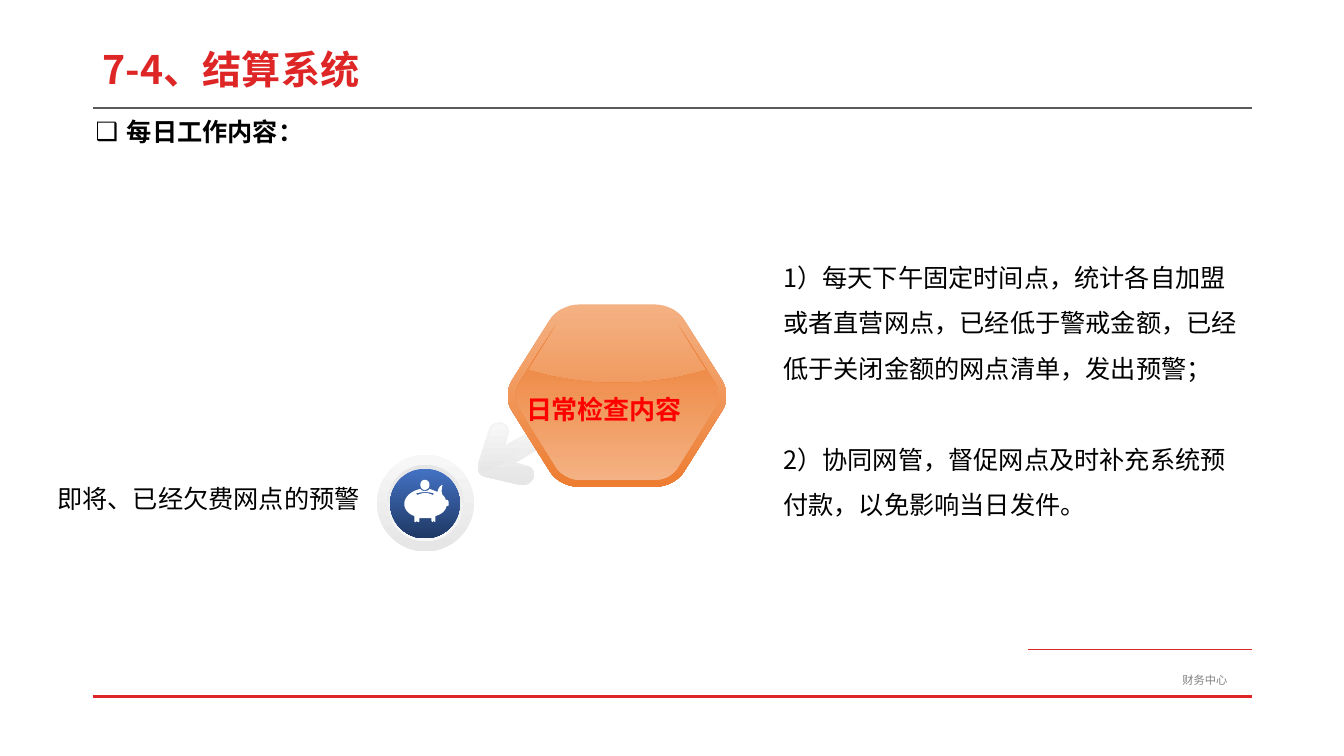
import pptx
import pptx.util
import pptx.dml.color
import pptx.enum.shapes
import pptx.enum.text
from lxml import etree
from pptx.oxml.ns import qn

PX = 9144  # 100 px to the inch
CJK = "Noto Sans CJK SC"
COLORS = {
    "red": "DD2625", "rule": "595959", "footer": "808080", "black": "000000",
    "alert": "FF0000", "white": "FFFFFF", "mist": "F4F4F4", "pale": "F8F7F7",
    "silver": "E7E6E6", "peach": "F4B183", "orange": "ED7D31",
    "blue": "4472C4", "navy": "1F3864",
}

# Outlines: a pair is a corner, six numbers are a Bezier curve
ARROW = [[(474, 461), (473, 467, 476, 472, 481, 473), (516, 481),
          (522, 482, 527, 479, 529, 474), (531, 468, 528, 463, 522, 462),
          (511, 459), (545, 439), (550, 437, 552, 430, 549, 426),
          (547, 421, 540, 420, 536, 422), (501, 442), (504, 431),
          (506, 425, 503, 420, 497, 419), (492, 418, 486, 421, 485, 426)]]
ARROW_GLOSS = [[(534, 434), (530, 427), (497, 446), (499, 442), (502, 430),
                (503, 426, 501, 422, 497, 421), (492, 420, 488, 423, 487, 427),
                (476, 461), (475, 465, 477, 468, 479, 469),
                (486, 466, 494, 462, 501, 458), (513, 451, 525, 443, 534, 434)]]
HEXAGON = [[(575, 483), (563, 483, 551, 477, 545, 467), (508, 408),
            (502, 399, 502, 387, 508, 377), (545, 318),
            (551, 308, 563, 302, 575, 302), (649, 302),
            (661, 302, 673, 308, 679, 318), (716, 377),
            (722, 387, 722, 399, 716, 408), (679, 467),
            (673, 477, 661, 483, 649, 483)]]
HEXAGON_GLOSS = [[(672, 321), (701, 367), (675, 375, 645, 380, 612, 380),
                  (580, 380, 549, 375, 523, 367), (552, 321), (515, 380),
                  (510, 388, 510, 397, 515, 405), (552, 464),
                  (557, 471, 566, 476, 575, 476), (649, 476),
                  (659, 476, 668, 471, 672, 464), (709, 405),
                  (714, 397, 714, 388, 709, 380)]]
BADGE_GLINT = [[(410, 541), (410, 540, 410, 539, 409, 539),
                (404, 537, 399, 534, 395, 531), (387, 524, 382, 514, 381, 503),
                (380, 492, 383, 482, 390, 473), (397, 465, 407, 459, 419, 459),
                (420, 458, 421, 457, 421, 456), (421, 455, 420, 454, 418, 454),
                (406, 455, 395, 461, 387, 470), (379, 480, 375, 492, 376, 504),
                (377, 516, 383, 527, 392, 535), (397, 538, 402, 541, 407, 543),
                (408, 543, 410, 542, 410, 541)]]
PIGGY_BANK = [
    # coin
    [(426, 481), (426, 478, 424, 476, 421, 476), (419, 476, 417, 478, 417, 481),
     (417, 484, 419, 486, 421, 486), (424, 486, 426, 484, 426, 481)],
    # body
    [(401, 500), (401, 505, 405, 510, 411, 512), (411, 516),
     (411, 517, 411, 518, 412, 518), (413, 518, 413, 517, 413, 517),
     (414, 517, 414, 518, 415, 518), (416, 518, 416, 517, 416, 516), (416, 514),
     (418, 514, 420, 514, 422, 514), (424, 514, 426, 514, 428, 514), (428, 516),
     (428, 517, 428, 517, 429, 518), (429, 518, 430, 517, 430, 517),
     (431, 517, 431, 518, 431, 518), (432, 518, 432, 517, 432, 516), (432, 512),
     (438, 510, 442, 507, 443, 502), (444, 502), (444, 502, 445, 502, 445, 501),
     (445, 498), (445, 497, 444, 496, 444, 496), (442, 496),
     (442, 494, 440, 492, 439, 491), (437, 488, 439, 481, 439, 481),
     (439, 481, 435, 482, 434, 488), (431, 487, 429, 486, 426, 485),
     (425, 487, 423, 487, 421, 487), (420, 487, 418, 487, 417, 485),
     (408, 487, 401, 493, 401, 500)],
    # slot
    [(414, 489), (416, 489, 419, 488, 422, 488), (424, 488, 427, 489, 430, 489),
     (430, 490), (430, 490, 430, 491, 429, 491), (427, 490, 424, 489, 422, 489),
     (419, 489, 417, 490, 414, 491), (413, 490), (413, 490, 413, 489, 414, 489)],
]


def flatten(outline, steps=8):
    """Turn corners and curves into a list of EMU points."""
    points = []
    for part in outline:
        if len(part) == 2:
            points.append(part)
            continue
        x0, y0 = points[-1]
        x1, y1, x2, y2, x3, y3 = part
        for step in range(1, steps + 1):
            t = step / steps
            a, b, c, d = (1 - t) ** 3, 3 * t * (1 - t) ** 2, 3 * t * t * (1 - t), t ** 3
            points.append((a * x0 + b * x1 + c * x2 + d * x3,
                           a * y0 + b * y1 + c * y2 + d * y3))
    return [(x * PX, y * PX) for x, y in points]


class SlideBuilder:
    def __init__(self, slide):
        self.slide = slide
        self.shapes = slide.shapes

    def color(self, name):
        return pptx.dml.color.RGBColor.from_string(COLORS[name])

    def place(self, shape, box):
        shape.left, shape.top, shape.width, shape.height = (v * PX for v in box)

    def rule(self, left, right, y, color, width):
        line = self.shapes.add_connector(pptx.enum.shapes.MSO_CONNECTOR.STRAIGHT,
                                         left * PX, y * PX, right * PX, y * PX)
        line.line.color.rgb = self.color(color)
        line.line.width = pptx.util.Pt(width)
        etree.SubElement(line._element.spPr, qn("a:effectLst"))

    def paint(self, shape, colors):
        """One colour fills plainly, two run from top to bottom."""
        if len(colors) == 1:
            shape.fill.solid()
            shape.fill.fore_color.rgb = self.color(colors[0])
        else:
            shape.fill.gradient()
            shape.fill.gradient_angle = 270
            for stop, name in zip(shape.fill.gradient_stops, colors):
                stop.color.rgb = self.color(name)
        shape.line.fill.background()
        shape.shadow.inherit = False

    def outline(self, contours, *colors):
        first, *others = [flatten(contour) for contour in contours]
        builder = self.shapes.build_freeform(*first[0])
        builder.add_line_segments(first[1:], close=True)
        for points in others:
            builder.move_to(*points[0])
            builder.add_line_segments(points[1:], close=True)
        self.paint(builder.convert_to_shape(), colors)

    def disc(self, left, top, size, *colors):
        disc = self.shapes.add_shape(pptx.enum.shapes.MSO_SHAPE.OVAL,
                                     *(v * PX for v in (left, top, size, size)))
        self.paint(disc, colors)

    def style(self, paragraph, size, color, bold=False, font=CJK, spacing=None):
        paragraph.alignment = pptx.enum.text.PP_ALIGN.LEFT
        paragraph.line_spacing = spacing
        paragraph.font.size = pptx.util.Pt(size)
        paragraph.font.bold = bold
        paragraph.font.name = font
        paragraph.font.color.rgb = self.color(color)
        defaults = paragraph._p.pPr.find(qn("a:defRPr"))
        etree.SubElement(defaults, qn("a:ea"), typeface=CJK)
        return defaults

    def title(self, text, box):
        title = self.shapes.title
        self.place(title, box)
        title.text_frame.text = text
        title.text_frame.vertical_anchor = pptx.enum.text.MSO_ANCHOR.MIDDLE
        self.style(title.text_frame.paragraphs[0], 28, "red", bold=True, spacing=0.9)

    def text(self, texts, box, size, color, gap=0, bullet=None, baseline=None, **style):
        frame = self.shapes.add_textbox(*(v * PX for v in box)).text_frame
        frame.word_wrap = True
        for index, text in enumerate(texts):
            paragraph = frame.paragraphs[0] if index == 0 else frame.add_paragraph()
            paragraph.text = text
            if index:
                paragraph.space_before = pptx.util.Pt(gap)
            if bullet:
                props = paragraph._p.get_or_add_pPr()
                props.set("marL", str(31 * PX))
                props.set("indent", str(-31 * PX))
                etree.SubElement(props, qn("a:buFont"), typeface="Arial")
                etree.SubElement(props, qn("a:buChar"), char=bullet)
            defaults = self.style(paragraph, size, color, **style)
            if baseline:
                defaults.set("baseline", str(baseline * 1000))


def main():
    deck = pptx.Presentation()
    deck.slide_width, deck.slide_height = 1333 * PX, 750 * PX
    page = SlideBuilder(deck.slides.add_slide(deck.slide_layouts[5]))

    # Frame lines and footer
    page.rule(92, 1242, 107, "rule", 1)
    page.rule(1020, 1242, 644, "red", 0.5)
    page.rule(92, 1242, 691, "red", 1.5)
    page.text(["财务中心"], (1163, 663, 114, 24), 8, "footer")

    # Heading
    page.title("7-4、结算系统", (92, 40, 1150, 62))
    page.text(["每日工作内容："], (85, 102, 1164, 49), 18, "black", bullet="❑",
              bold=True, spacing=pptx.util.Pt(28))

    # Arrow from the hexagon to the badge
    page.outline(ARROW, "mist", "silver")
    page.outline(ARROW_GLOSS, "pale", "silver")

    # Hexagon
    page.outline(HEXAGON, "peach", "orange")
    page.outline(HEXAGON_GLOSS, "orange", "peach")
    page.text(["日常检查内容"], (512, 356, 203, 46), 32, "alert", bold=True,
              font="Arial", baseline=-25)

    # Piggy bank badge
    page.disc(374, 451, 96, "pale", "silver")
    page.disc(384, 461, 76, "silver", "pale")
    page.disc(387, 465, 69, "blue", "navy")
    page.outline(BADGE_GLINT, "pale", "silver")
    page.outline(PIGGY_BANK, "white")

    # Explanations
    page.text(["1）每天下午固定时间点，统计各自加盟或者直营网点，已经低于警戒金额，"
               "已经低于关闭金额的网点清单，发出预警；",
               "2）协同网管，督促网点及时补充系统预付款，以免影响当日发件。"],
              (767, 240, 482, 283), 18, "black", gap=32.5, spacing=pptx.util.Pt(32.5))
    page.text(["即将、已经欠费网点的预警"], (47, 475, 374, 40), 18, "black")

    deck.save("out.pptx")


if __name__ == "__main__":
    main()
